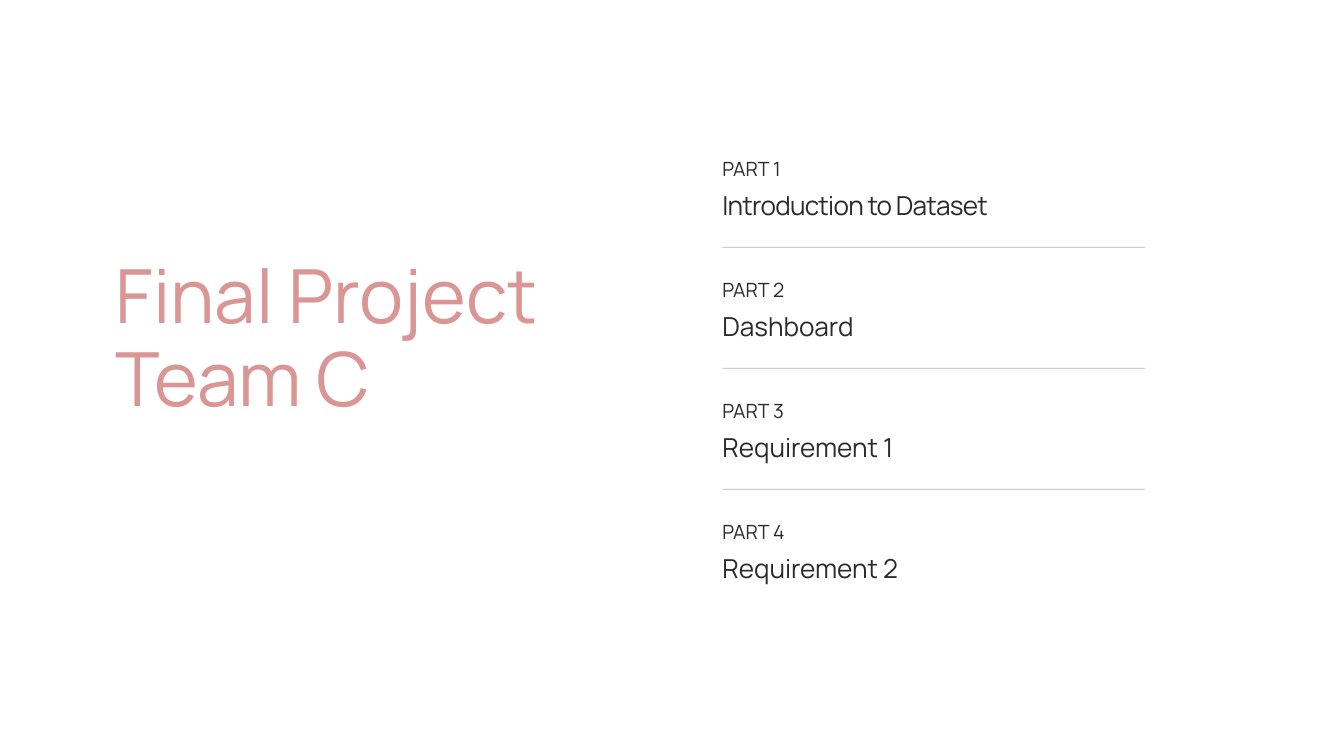
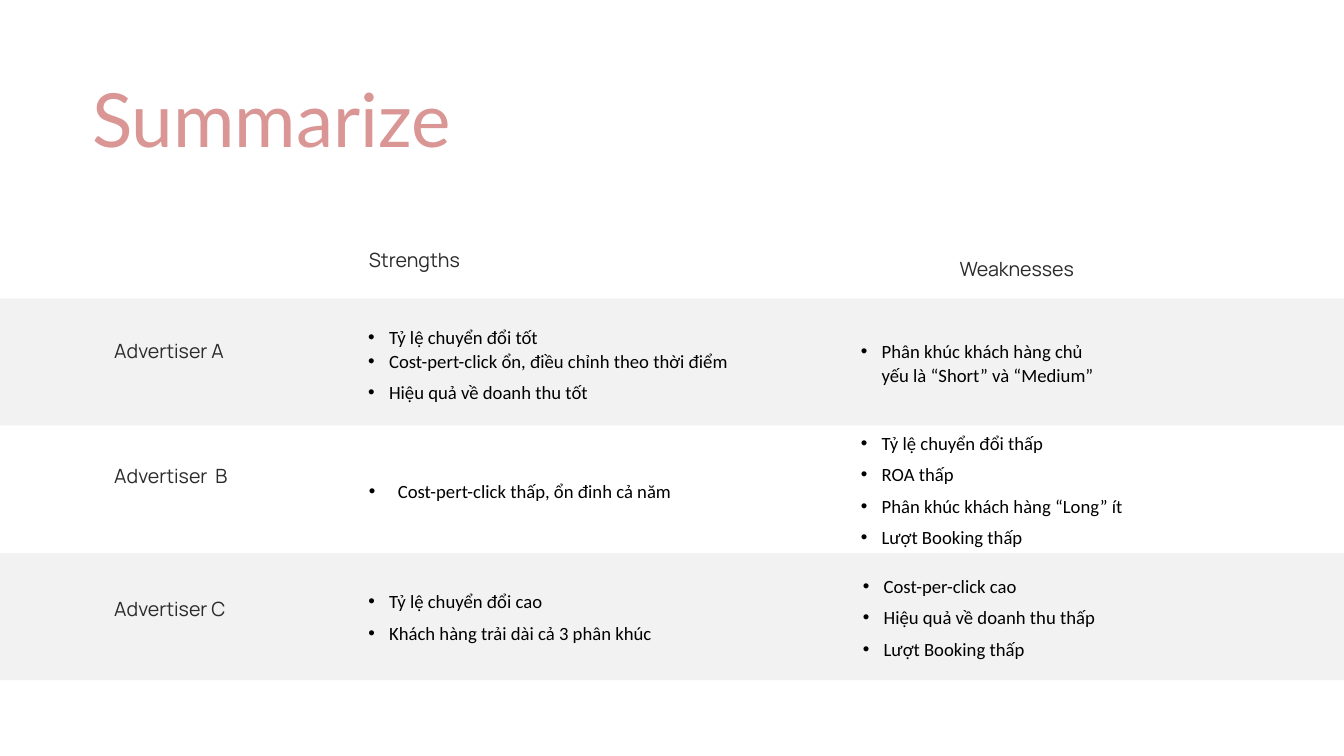
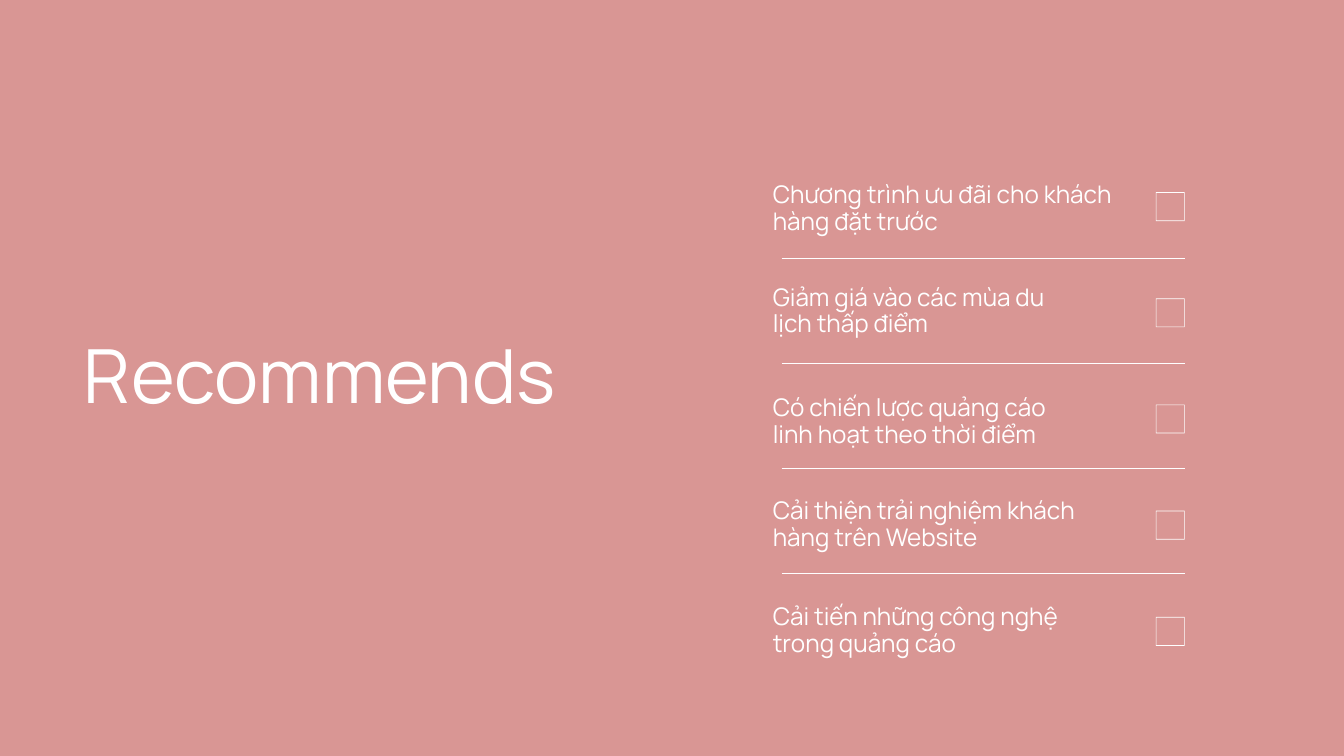
from lxml.etree import SubElement as Sub
from pptx import Presentation
from pptx.dml.color import RGBColor
from pptx.enum.shapes import MSO_CONNECTOR as Conn, MSO_SHAPE as Shape
from pptx.enum.text import MSO_AUTO_SIZE as Auto
from pptx.oxml.ns import qn
from pptx.util import Inches, Pt

ROSE = RGBColor(0xD9, 0x96, 0x94)
INK = RGBColor(0x2B, 0x2B, 0x2B)
BLACK = RGBColor(0, 0, 0)
WHITE = RGBColor(0xFF, 0xFF, 0xFF)

# font, size, line spacing
TITLE = ("Manrope", 80, Pt(88))
SUMMARY = ("Lato", 80, Pt(88))
LABEL = ("Manrope", 21, Pt(27.3))
PART = ("Manrope", 28, Pt(36.4))
ADVICE = ("Manrope", 26, Pt(28.6))
POINT = ("Calibri", 20, 1.07)
LOOSE = ("Calibri", 20, Pt(29.4))

PARTS = ["Introduction to Dataset", "Dashboard", "Requirement 1", "Requirement 2"]

# text, left, top, width
LABELS = [
    ("Strengths", 5.49, 3.66, 3.86),
    ("Weaknesses", 14.28, 3.8, 2.48),
    ("Advertiser A", 1.7, 5.01, 2.48),
    ("Advertiser  B", 1.7, 6.87, 2.48),
    ("Advertiser C", 1.7, 8.86, 2.48),
]

# left, top, width, height, points
POINTS = [
    (5.48, 4.77, 5.43, 2.15, ["Tỷ lệ chuyển đổi tốt",
                              "Cost-pert-click ổn, điều chỉnh theo thời điểm",
                              "Hiệu quả về doanh thu tốt"]),
    (5.49, 7.07, 5.23, 0.38, ["Cost-pert-click thấp, ổn đinh cả năm"]),
    (5.48, 8.76, 5.22, 1.33, ["Tỷ lệ chuyển đổi cao",
                              "Khách hàng trải dài cả 3 phân khúc"]),
    (12.81, 5.03, 3.56, 1.22, ["Phân khúc khách hàng chủ yếu là “Short” và “Medium”"]),
    (12.81, 6.4, 6.77, 1.76, ["Tỷ lệ chuyển đổi thấp", "ROA thấp",
                              "Phân khúc khách hàng “Long” ít", "Lượt Booking thấp"]),
    (12.84, 8.53, 3.56, 1.29, ["Cost-per-click cao", "Hiệu quả về doanh thu thấp",
                               "Lượt Booking thấp"]),
]
TIGHT = "Introduction to Dataset"
FIRST = "Tỷ lệ chuyển đổi tốt"
WIDE = "Cost-pert-click thấp, ổn đinh cả năm"

# text, top, width
TIPS = [
    ("Chương trình ưu đãi cho khách hàng đặt trước", 2.71, 5.21),
    ("Giảm giá vào các mùa du lịch thấp điểm", 4.23, 4.5),
    ("Có chiến lược quảng cáo linh hoạt theo thời điểm", 5.88, 4.5),
    ("Cải thiện trải nghiệm khách hàng trên Website", 7.41, 4.63),
    ("Cải tiến những công nghệ trong quảng cáo", 8.99, 4.5),
]


def add_slide(deck, color):
    slide = deck.slides.add_slide(deck.slide_layouts[6])
    slide.background.fill.solid()
    slide.background.fill.fore_color.rgb = color
    return slide


def fade(shape, percent):
    """Make the shape's only colour partly transparent."""
    color = next(shape.element.spPr.iter(qn("a:srgbClr")))
    Sub(color, qn("a:alpha"), val=str(percent * 1000))


def style(para, look, color):
    font, size, gap = look
    para.line_spacing = gap
    para.font.name = font
    para.font.size = Pt(size)
    para.font.color.rgb = color


def add_text(slide, lines, box, look, color):
    frame = slide.shapes.add_textbox(*map(Inches, box)).text_frame
    frame.margin_left = frame.margin_right = 0
    frame.margin_top = frame.margin_bottom = 0
    frame.word_wrap = True
    frame.auto_size = Auto.SHAPE_TO_FIT_TEXT
    frame.text = "\n".join(lines)
    for para in frame.paragraphs:
        style(para, look, color)
    return frame


def add_points(slide, lines, box):
    frame = add_text(slide, [""], box, POINT, BLACK)
    for i, line in enumerate(lines):
        para = frame.paragraphs[0] if i == 0 else frame.add_paragraph()
        para.text = line
        loose = line in (FIRST, WIDE)
        props = para._p.get_or_add_pPr()
        for old in list(props):
            props.remove(old)
        indent = Inches(0.43 if line == WIDE else 0.31)
        props.set("marL", str(indent))
        props.set("indent", str(-indent))
        Sub(props, qn("a:buFont"), typeface="Arial")
        Sub(props, qn("a:buChar"), char="•")
        style(para, LOOSE if loose else POINT, BLACK)
        para.space_after = Pt(0 if loose else 8)


def add_rule(slide, left, right, y, color):
    ends = map(Inches, (left, y, right, y))
    rule = slide.shapes.add_connector(Conn.STRAIGHT, *ends)
    rule.line.color.rgb = color
    rule.line.width = Pt(0.75)
    Sub(rule.element.spPr, qn("a:effectLst"))
    return rule


def add_band(slide, top):
    box = map(Inches, (0, top, 20, 1.89))
    band = slide.shapes.add_shape(Shape.RECTANGLE, *box)
    band.shadow.inherit = False
    band.fill.solid()
    band.fill.fore_color.rgb = BLACK
    band.line.fill.background()
    fade(band, 5)


def add_check(slide, left, top, side=0.43, edge=0.01):
    """Draw an empty tick box as a thin frame."""
    x, y, far, low = map(Inches, (left, top, left + side, top + side))
    pad = Inches(edge)
    pen = slide.shapes.build_freeform(x, y)
    pen.add_line_segments([(x, low), (far, low), (far, y)])
    pen.move_to(far - pad, low - pad)
    pen.add_line_segments([(far - pad, y + pad), (x + pad, y + pad), (x + pad, low - pad)])
    check = pen.convert_to_shape()
    check.shadow.inherit = False
    check.fill.solid()
    check.fill.fore_color.rgb = WHITE
    check.line.fill.background()


def build_cover(deck):
    slide = add_slide(deck, WHITE)
    add_text(slide, ["Final Project", "Team C"], (1.72, 3.82, 7.17, 3.73), TITLE, ROSE)
    for i, name in enumerate(PARTS):
        top = 2.31 + 1.8 * i
        add_text(slide, [f"PART {i + 1}"], (10.75, top, 5.43, 0.37), LABEL, INK)
        frame = add_text(slide, [name], (10.75, top + 0.47, 5.43, 0.5), PART, INK)
        if name == TIGHT:
            frame.paragraphs[0].runs[0].font._element.set("spc", "-80")
        if i < len(PARTS) - 1:
            fade(add_rule(slide, 10.75, 17.04, top + 1.37, BLACK), 30)


def build_summary(deck):
    slide = add_slide(deck, WHITE)
    add_text(slide, ["Summarize"], (1.37, 1.2, 11.24, 1.26), SUMMARY, ROSE)
    for top in (4.44, 8.23):
        add_band(slide, top)
    for text, left, top, width in LABELS:
        add_text(slide, [text], (left, top, width, 0.38), LABEL, INK)
    for *box, lines in POINTS:
        add_points(slide, lines, box)


def build_advice(deck):
    slide = add_slide(deck, ROSE)
    add_text(slide, ["Recommends"], (1.25, 5, 8.2, 1.26), TITLE, WHITE)
    for i, (tip, top, width) in enumerate(TIPS):
        add_text(slide, [tip], (11.5, top, width, 0.81), ADVICE, WHITE)
        add_check(slide, 17.2, 2.86 + 1.58 * i)
        if i < len(TIPS) - 1:
            add_rule(slide, 11.63, 17.63, 3.85 + 1.56 * i, WHITE)


def main():
    deck = Presentation()
    deck.slide_width, deck.slide_height = Inches(20), Inches(11.25)
    build_cover(deck)
    build_summary(deck)
    build_advice(deck)
    deck.save("out.pptx")


if __name__ == "__main__":
    main()
